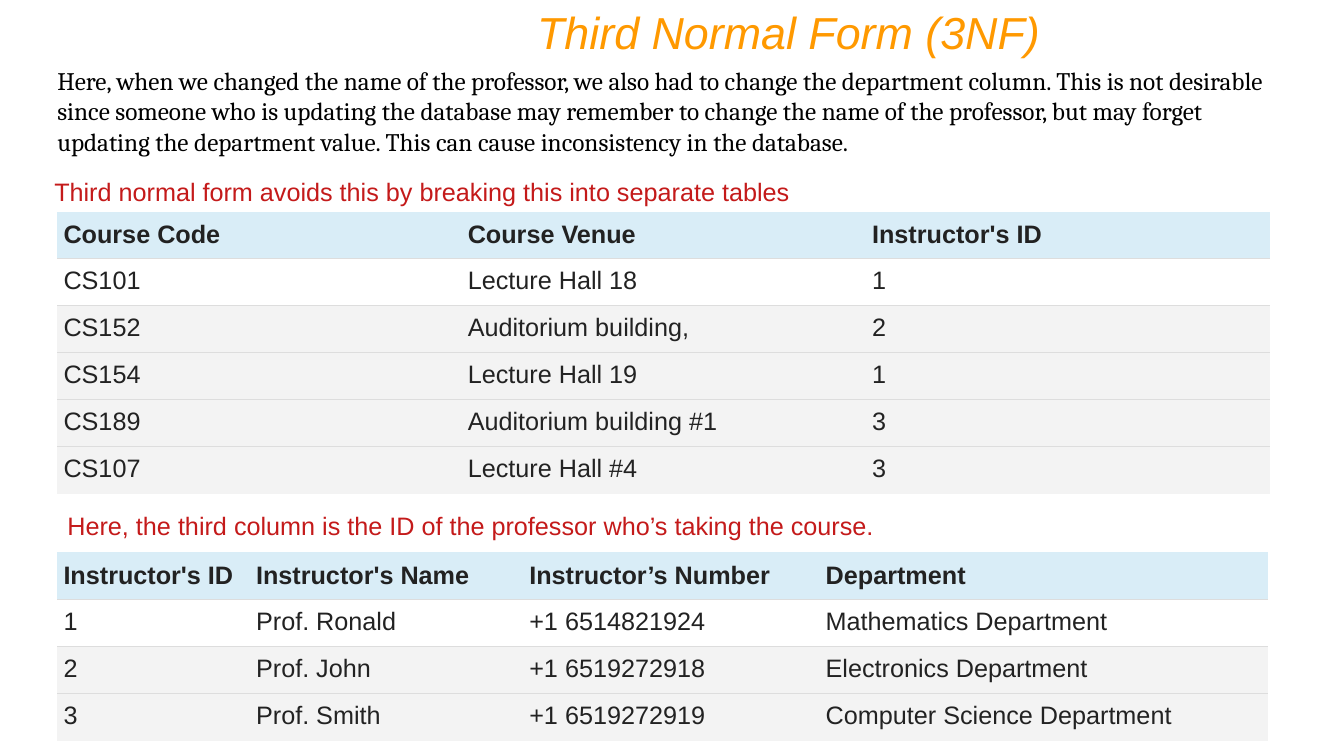
from dataclasses import dataclass

from lxml import etree
from pptx import Presentation
from pptx.dml.color import RGBColor
from pptx.enum.text import MSO_ANCHOR, MSO_AUTO_SIZE, PP_ALIGN
from pptx.oxml.ns import qn
from pptx.util import Inches, Pt

LEFT, RIGHT = PP_ALIGN.LEFT, PP_ALIGN.RIGHT
TOP, MIDDLE = MSO_ANCHOR.TOP, MSO_ANCHOR.MIDDLE
GROW = MSO_AUTO_SIZE.SHAPE_TO_FIT_TEXT


@dataclass(frozen=True)
class Theme:
    """Colours, fonts and type sizes of the slide."""

    title: str = "FF9900"
    body: str = "000000"
    note: str = "C41A1A"
    cell: str = "222222"
    header_fill: str = "D9EDF7"
    first_fill: str = "FFFFFF"
    row_fill: str = "F3F3F3"
    rule: str = "DDDDDD"
    sans: str = "Arial"
    serif: str = "Cambria"
    title_size: int = 32
    text_size: int = 18
    rule_width: float = 0.75


THEME = Theme()

INTRO = (
    "Here, when we changed the name of the professor, we also had to change the "
    "department column. This is not desirable since someone who is updating the "
    "database may remember to change the name of the professor, but may forget "
    "updating the department value. This can cause inconsistency in the database."
)
COURSES = [
    ("Course Code", "Course Venue", "Instructor's ID"),
    ("CS101", "Lecture Hall 18", "1"),
    ("CS152", "Auditorium building,", "2"),
    ("CS154", "Lecture Hall 19", "1"),
    ("CS189", "Auditorium building #1", "3"),
    ("CS107", "Lecture Hall #4", "3"),
]
INSTRUCTORS = [
    ("Instructor's ID", "Instructor's Name", "Instructor’s Number", "Department"),
    ("1", "Prof. Ronald", "+1 6514821924", "Mathematics Department"),
    ("2", "Prof. John", "+1 6519272918", "Electronics Department"),
    ("3", "Prof. Smith", "+1 6519272919", "Computer Science Department"),
]


def set_all(target, values):
    """Set each attribute of the target from a dict."""
    for name, value in values.items():
        setattr(target, name, value)


def write(paragraph, text, color, font=THEME.sans, size=THEME.text_size, **styles):
    """Add one formatted span to a paragraph."""
    span = paragraph.add_run()
    span.text = text
    set_all(span.font, {"name": font, "size": Pt(size), **styles})
    span.font.color.rgb = RGBColor.from_string(color)


def add_text(page, place, text, color, align=LEFT, **styles):
    """Add a wrapped text box with a single paragraph."""
    box = page.shapes.add_textbox(*map(Inches, place))
    set_all(box.text_frame, {"word_wrap": True, "auto_size": GROW})
    paragraph = box.text_frame.paragraphs[0]
    paragraph.alignment = align
    write(paragraph, text, color, **styles)


def set_borders(cell, ruled_sides):
    """Rule the named sides of a cell and clear the others."""
    properties = cell._tc.get_or_add_tcPr()
    for index, side in enumerate("LRTB"):
        line = etree.Element(qn(f"a:ln{side}"), w=str(Pt(THEME.rule_width)))
        if side in ruled_sides:
            fill = etree.SubElement(line, qn("a:solidFill"))
            etree.SubElement(fill, qn("a:srgbClr"), val=THEME.rule)
        else:
            etree.SubElement(line, qn("a:noFill"))
        properties.insert(index, line)


def fill_cell(cell, text, row, last_row):
    """Write and format one table cell according to its row."""
    header = row == 0
    side, end = Inches(0.06), Inches(0.08)
    set_all(cell, {
        "margin_left": side, "margin_right": side,
        "margin_top": end, "margin_bottom": end,
        "vertical_anchor": MIDDLE if header else TOP,
    })
    fills = (THEME.header_fill, THEME.first_fill, THEME.row_fill)
    cell.fill.solid()
    cell.fill.fore_color.rgb = RGBColor.from_string(fills[min(row, 2)])
    set_borders(cell, ("" if header else "T") + ("" if row == last_row else "B"))
    write(cell.text_frame.paragraphs[0], text, THEME.cell, bold=header)


def add_grid(page, top, height, widths, rows):
    """Add a table with equal row heights."""
    place = map(Inches, (0.57, top, sum(widths), height))
    table = page.shapes.add_table(len(rows), len(widths), *place).table
    set_all(table, {"first_row": False, "horz_banding": False})
    for column, width in zip(table.columns, widths):
        column.width = Inches(width)
    for row, texts in enumerate(rows):
        for column, text in enumerate(texts):
            fill_cell(table.cell(row, column), text, row, len(rows) - 1)


def main():
    """Build and save the slide."""
    deck = Presentation()
    set_all(deck, {"slide_width": Inches(13.33), "slide_height": Inches(7.5)})
    page = deck.slides.add_slide(deck.slide_layouts[6])
    add_text(page, (2.92, 0, 7.5, 0.64), "Third Normal Form (3NF)", THEME.title,
             align=RIGHT, size=THEME.title_size, italic=True)
    add_text(page, (0.47, 0.6, 12.23, 1.01), INTRO, THEME.body, font=THEME.serif)
    add_grid(page, 2.1, 2.8, [4.01] * 3, COURSES)
    add_grid(page, 5.48, 1.87, [1.91, 2.71, 2.94, 4.45], INSTRUCTORS)
    add_text(page, (0.44, 1.7, 11, 0.4),
             "Third normal form avoids this by breaking this into separate tables",
             THEME.note)
    add_text(page, (0.57, 5.01, 11.11, 0.4),
             "Here, the third column is the ID of the professor who’s taking the course.",
             THEME.note)
    deck.save("out.pptx")


if __name__ == "__main__":
    main()
